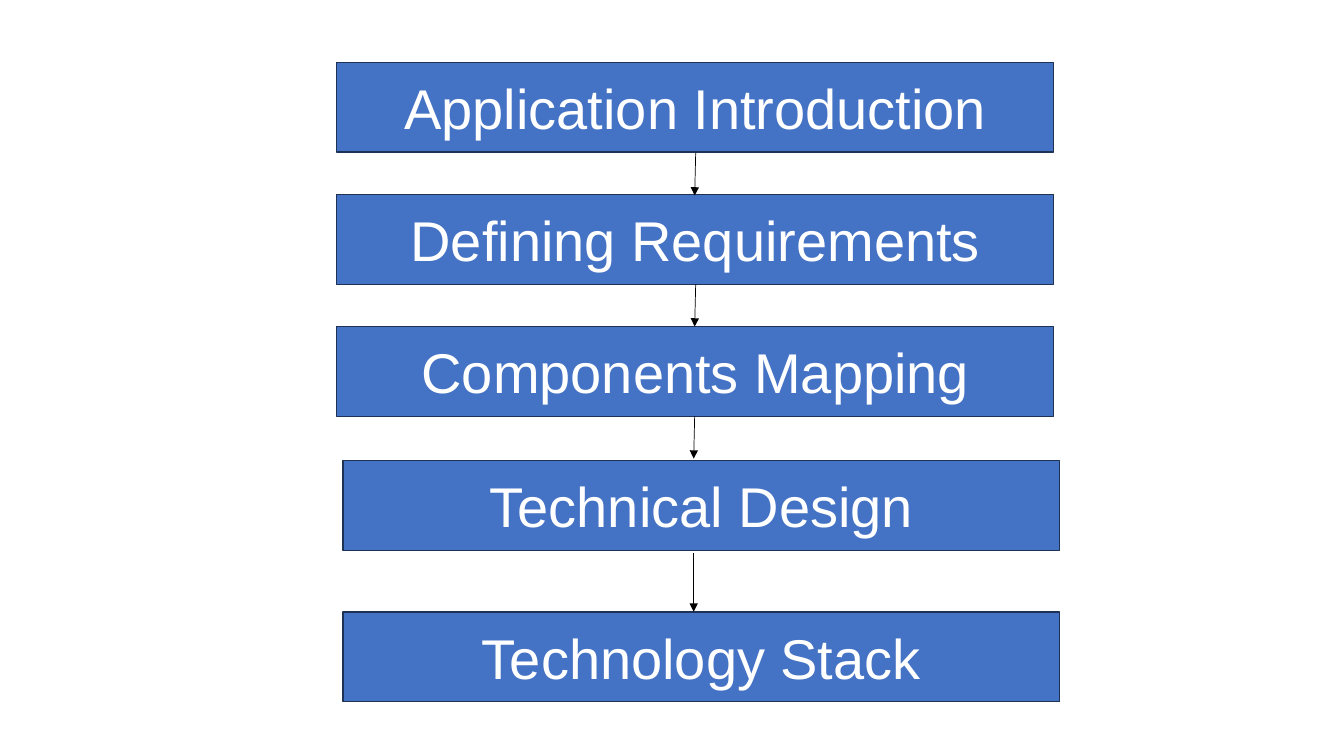
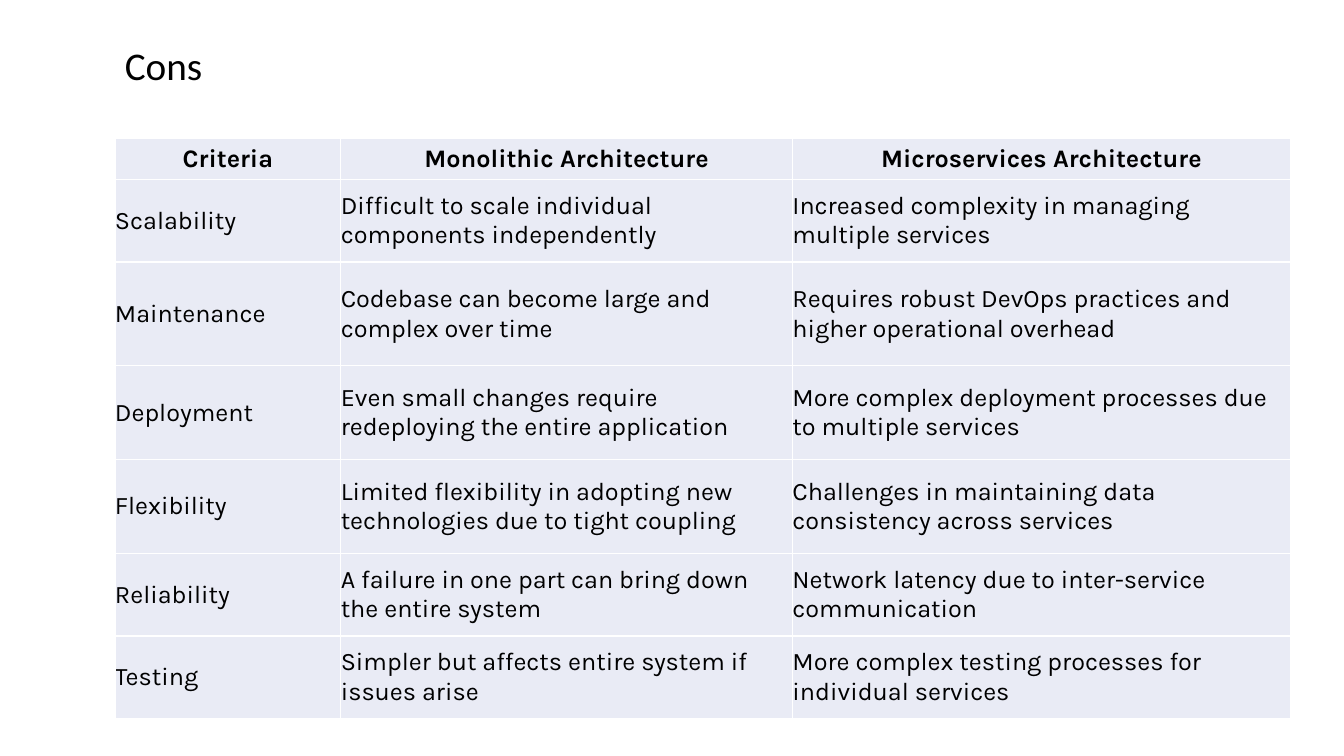
from dataclasses import dataclass
from typing import Any, NamedTuple

from lxml import etree
from pptx import Presentation
from pptx import util as u
from pptx.dml import color
from pptx.enum import shapes, text
from pptx.oxml import ns


@dataclass(frozen=True)
class Theme:
    stage_fill: str = "4472C4"
    stage_line: str = "1E3256"
    cell_fill: str = "E9EBF5"
    light: str = "FFFFFF"
    dark: str = "000000"
    stage_font: str = "Arial"
    title_font: str = "Calibri"
    table_font: str = "Karla"
    stage_size: float = 40
    title_size: float = 28
    table_size: float = 18
    rule_width: float = 1
    arrow_width: float = 0.5


class Stage(NamedTuple):
    label: str
    left: float
    top: float


class Arrow(NamedTuple):
    start_x: float
    start_y: float
    end_x: float
    end_y: float


class Criterion(NamedTuple):
    name: str
    monolithic: str
    microservices: str
    height: float


THEME = Theme()
STAGE_WIDTH, STAGE_HEIGHT = 7.11, 0.89

STAGES = [
    Stage("Application Introduction", 3.34, 0.62),
    Stage("Defining Requirements", 3.34, 1.93),
    Stage("Components Mapping", 3.34, 3.24),
    Stage("Technical Design", 3.4, 4.57),
    Stage("Technology Stack", 3.4, 6.07),
]

ARROWS = [
    Arrow(6.9, 1.52, 6.89, 1.94),
    Arrow(6.9, 2.82, 6.89, 3.24),
    Arrow(6.89, 4.13, 6.88, 4.55),
    Arrow(6.88, 5.49, 6.88, 6.07),
]

COLUMN_WIDTHS = [2.24, 4.48, 4.94]
COLUMN_GAP = 0.06

CRITERIA = [
    Criterion("Criteria", "Monolithic Architecture", "Microservices Architecture", 0.41),
    Criterion(
        "Scalability",
        "Difficult to scale individual components independently",
        "Increased complexity in managing multiple services",
        0.82,
    ),
    Criterion(
        "Maintenance",
        "Codebase can become large and complex over time",
        "Requires robust DevOps practices and higher operational overhead",
        1.03,
    ),
    Criterion(
        "Deployment",
        "Even small changes require redeploying the entire application",
        "More complex deployment processes due to multiple services",
        0.93,
    ),
    Criterion(
        "Flexibility",
        "Limited flexibility in adopting new technologies due to tight coupling",
        "Challenges in maintaining data consistency across services",
        0.93,
    ),
    Criterion(
        "Reliability",
        "A failure in one part can bring down the entire system",
        "Network latency due to inter-service communication",
        0.82,
    ),
    Criterion(
        "Testing",
        "Simpler but affects entire system if issues arise",
        "More complex testing processes for individual services",
        0.82,
    ),
]


def rgb(value: str) -> color.RGBColor:
    return color.RGBColor.from_string(value)


def write(
    frame: Any,
    content: str,
    *,
    font: str,
    size: float,
    ink: str = THEME.dark,
    bold: bool = False,
    align: text.PP_ALIGN = text.PP_ALIGN.LEFT,
) -> None:
    frame.word_wrap = True
    paragraph = frame.paragraphs[0]
    paragraph.alignment = align
    run = paragraph.add_run()
    run.text = content
    run.font.name = font
    run.font.size = u.Pt(size)
    run.font.bold = bold
    run.font.color.rgb = rgb(ink)


def draw_stage(slide: Any, stage: Stage) -> None:
    box = slide.shapes.add_shape(
        shapes.MSO_SHAPE.RECTANGLE,
        u.Inches(stage.left),
        u.Inches(stage.top),
        u.Inches(STAGE_WIDTH),
        u.Inches(STAGE_HEIGHT),
    )
    box.shadow.inherit = False
    box.fill.solid()
    box.fill.fore_color.rgb = rgb(THEME.stage_fill)
    box.line.color.rgb = rgb(THEME.stage_line)
    box.line.width = u.Pt(THEME.rule_width)
    box.text_frame.vertical_anchor = text.MSO_ANCHOR.MIDDLE
    write(
        box.text_frame,
        stage.label,
        font=THEME.stage_font,
        size=THEME.stage_size,
        ink=THEME.light,
        align=text.PP_ALIGN.CENTER,
    )


def draw_arrow(slide: Any, arrow: Arrow) -> None:
    link = slide.shapes.add_connector(
        shapes.MSO_CONNECTOR.STRAIGHT, *(u.Inches(length) for length in arrow)
    )
    link.line.color.rgb = rgb(THEME.dark)
    link.line.width = u.Pt(THEME.arrow_width)
    etree.SubElement(link.line._get_or_add_ln(), ns.qn("a:tailEnd"), type="triangle")
    etree.SubElement(link._element.spPr, ns.qn("a:effectLst"))


def set_borders(cell: Any) -> None:
    properties = cell._tc.get_or_add_tcPr()
    for index, side in enumerate(("lnL", "lnR", "lnT", "lnB")):
        border = etree.Element(ns.qn(f"a:{side}"), w=str(u.Pt(THEME.rule_width)))
        fill = etree.SubElement(border, ns.qn("a:solidFill"))
        etree.SubElement(fill, ns.qn("a:srgbClr"), val=THEME.light)
        properties.insert(index, border)


def fill_cell(cell: Any, content: str, is_header: bool) -> None:
    cell.margin_left = cell.margin_top = cell.margin_bottom = 0
    cell.margin_right = u.Inches(0 if is_header else COLUMN_GAP)
    cell.vertical_anchor = text.MSO_ANCHOR.MIDDLE
    cell.fill.solid()
    cell.fill.fore_color.rgb = rgb(THEME.cell_fill)
    set_borders(cell)
    write(
        cell.text_frame,
        content,
        font=THEME.table_font,
        size=THEME.table_size,
        bold=is_header,
        align=text.PP_ALIGN.CENTER if is_header else text.PP_ALIGN.LEFT,
    )


def build_roadmap(slide: Any) -> None:
    for stage in STAGES:
        draw_stage(slide, stage)
    for arrow in ARROWS:
        draw_arrow(slide, arrow)


def build_cons(slide: Any) -> None:
    title = slide.shapes.add_textbox(
        u.Inches(1.14), u.Inches(0.36), u.Inches(2.16), u.Inches(0.57)
    )
    title.text_frame.auto_size = text.MSO_AUTO_SIZE.SHAPE_TO_FIT_TEXT
    write(title.text_frame, "Cons", font=THEME.title_font, size=THEME.title_size)

    comparison = slide.shapes.add_table(
        len(CRITERIA),
        len(COLUMN_WIDTHS),
        u.Inches(1.14),
        u.Inches(1.37),
        u.Inches(sum(COLUMN_WIDTHS)),
        u.Inches(sum(criterion.height for criterion in CRITERIA)),
    ).table
    comparison.horz_banding = False
    for column, width in zip(comparison.columns, COLUMN_WIDTHS):
        column.width = u.Inches(width)
    for index, (row, criterion) in enumerate(zip(comparison.rows, CRITERIA)):
        row.height = u.Inches(criterion.height)
        for cell, content in zip(row.cells, criterion[:3]):
            fill_cell(cell, content, is_header=index == 0)


def main() -> None:
    deck = Presentation()
    deck.slide_width = u.Inches(13.33)
    deck.slide_height = u.Inches(7.5)
    for build in (build_roadmap, build_cons):
        build(deck.slides.add_slide(deck.slide_layouts[6]))
    deck.save("out.pptx")


if __name__ == "__main__":
    main()
